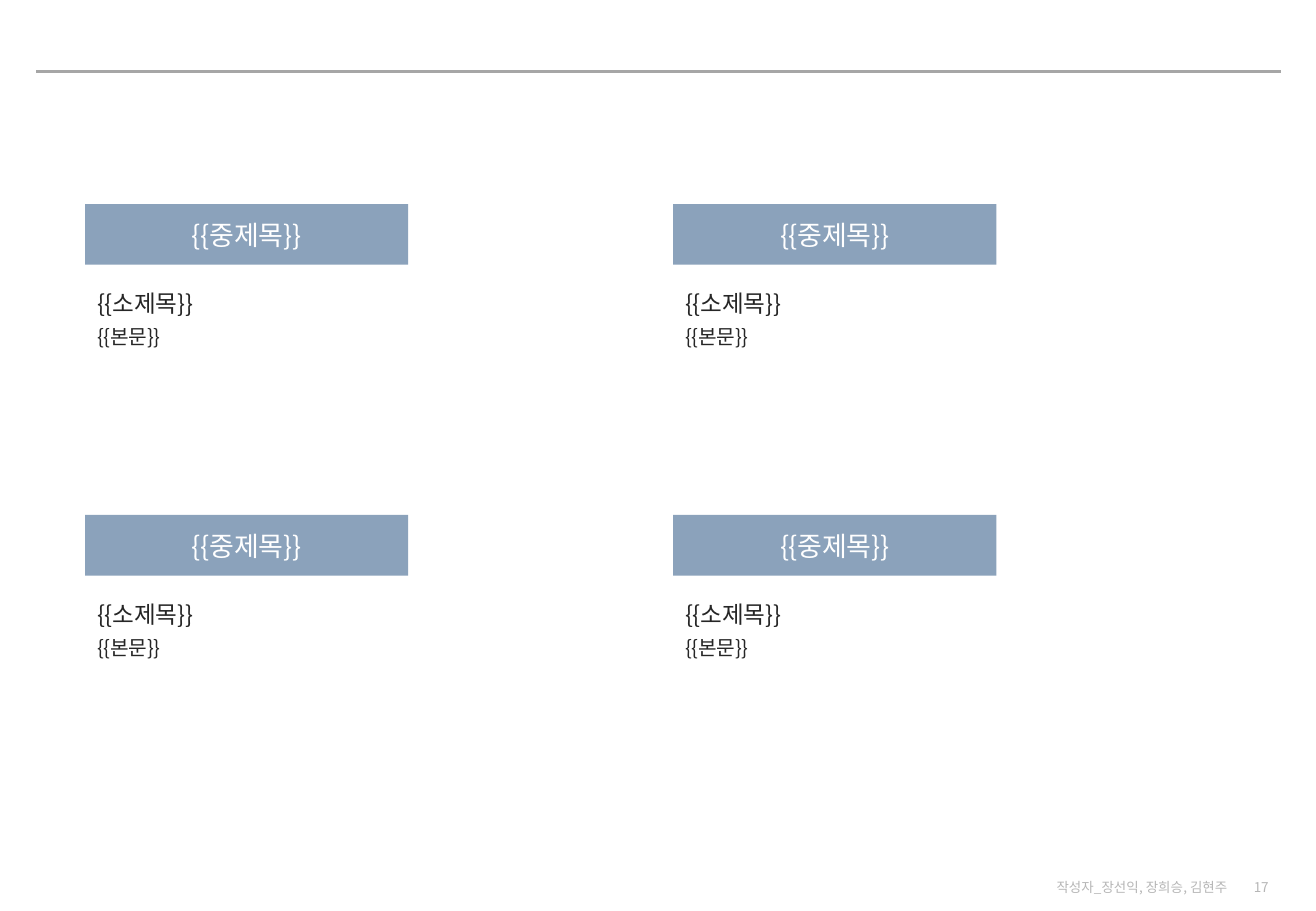
from itertools import product

from lxml.etree import SubElement
from pptx import Presentation
from pptx.dml.color import RGBColor
from pptx.enum.shapes import MSO_CONNECTOR as Connector, MSO_SHAPE as Shape
from pptx.enum.text import MSO_ANCHOR as Anchor, PP_ALIGN as Align
from pptx.oxml.ns import qn
from pptx.util import Inches, Pt

WHITE = RGBColor(0xFF, 0xFF, 0xFF)
BAND = RGBColor(0x8B, 0xA2, 0xBB)
INK = RGBColor(0x26, 0x26, 0x26)
RULE = RGBColor(0xA6, 0xA6, 0xA6)
FOOTER = RGBColor(0xB6, 0xB6, 0xB6)

COLUMNS, ROWS = 108.3, 75
BLOCK_LEFT, BLOCK_TOP = 7, 16.8
BLOCK_STEP_X, BLOCK_STEP_Y = 48.4, 25.6
HEADING_WIDTH, HEADING_HEIGHT = 26.6, 5
BODY_OFFSET, BODY_WIDTH, BODY_HEIGHT = 5.8, 46.5, 19.4
FOOTER_TOP, FOOTER_HEIGHT = 72.2, 1.6


class SlideBuilder:
    font_name = "Noto Sans CJK KR"
    cell = Inches(0.1)

    def __init__(self, presentation):
        presentation.slide_width, presentation.slide_height = self.grid(COLUMNS, ROWS)
        self.slide = presentation.slides.add_slide(presentation.slide_layouts[6])

    def grid(self, *cells):
        return [round(count * self.cell) for count in cells]

    def style(self, paragraph, size, color, align=Align.LEFT, line_spacing=None, tracking=None):
        paragraph.alignment = align
        if line_spacing:
            paragraph.line_spacing = line_spacing
        for run in paragraph.runs:
            run.font.name = self.font_name
            run.font.size = Pt(size)
            run.font.color.rgb = color
            properties = run.font._element
            SubElement(properties, qn("a:ea")).set("typeface", self.font_name)
            if tracking:
                properties.set("spc", str(round(tracking * 100)))

    def rule(self, left, right, top):
        line = self.slide.shapes.add_connector(
            Connector.STRAIGHT, *self.grid(left, top, right, top))
        line.line.color.rgb = RULE
        line.line.width = Pt(0)
        SubElement(line._element.spPr, qn("a:effectLst"))

    def heading(self, left, top, text):
        shape = self.slide.shapes.add_shape(
            Shape.RECTANGLE, *self.grid(left, top, HEADING_WIDTH, HEADING_HEIGHT))
        shape.shadow.inherit = False
        shape.fill.solid()
        shape.fill.fore_color.rgb = BAND
        shape.line.fill.background()
        frame = shape.text_frame
        frame.text = text
        frame.vertical_anchor = Anchor.MIDDLE
        self.style(frame.paragraphs[0], 16, WHITE, Align.CENTER, tracking=-0.2)

    def text_box(self, left, top, width, height, text):
        box = self.slide.shapes.add_textbox(*self.grid(left, top, width, height))
        frame = box.text_frame
        frame.word_wrap = True
        frame.text = text
        return frame

    def body(self, left, top, subtitle, text):
        frame = self.text_box(left, top, BODY_WIDTH, BODY_HEIGHT, f"{subtitle}\n{text}")
        for paragraph, size in zip(frame.paragraphs, (14, 12)):
            self.style(paragraph, size, INK, line_spacing=1.3, tracking=-0.2)

    def footer(self, left, width, text):
        frame = self.text_box(left, FOOTER_TOP, width, FOOTER_HEIGHT, text)
        frame.vertical_anchor = Anchor.MIDDLE
        self.style(frame.paragraphs[0], 8, FOOTER, Align.RIGHT)


def main():
    presentation = Presentation()
    builder = SlideBuilder(presentation)
    builder.rule(3, 105.4, 5.9)
    builder.footer(101.3, 4.1, "17")
    builder.footer(85.2, 16.8, "작성자_장선익, 장희승, 김현주")
    for row, column in product(range(2), repeat=2):
        left = BLOCK_LEFT + column * BLOCK_STEP_X
        top = BLOCK_TOP + row * BLOCK_STEP_Y
        builder.body(left, top + BODY_OFFSET, "{{소제목}}", "{{본문}}")
        builder.heading(left, top, "{{중제목}}")
    presentation.save("out.pptx")


if __name__ == "__main__":
    main()
